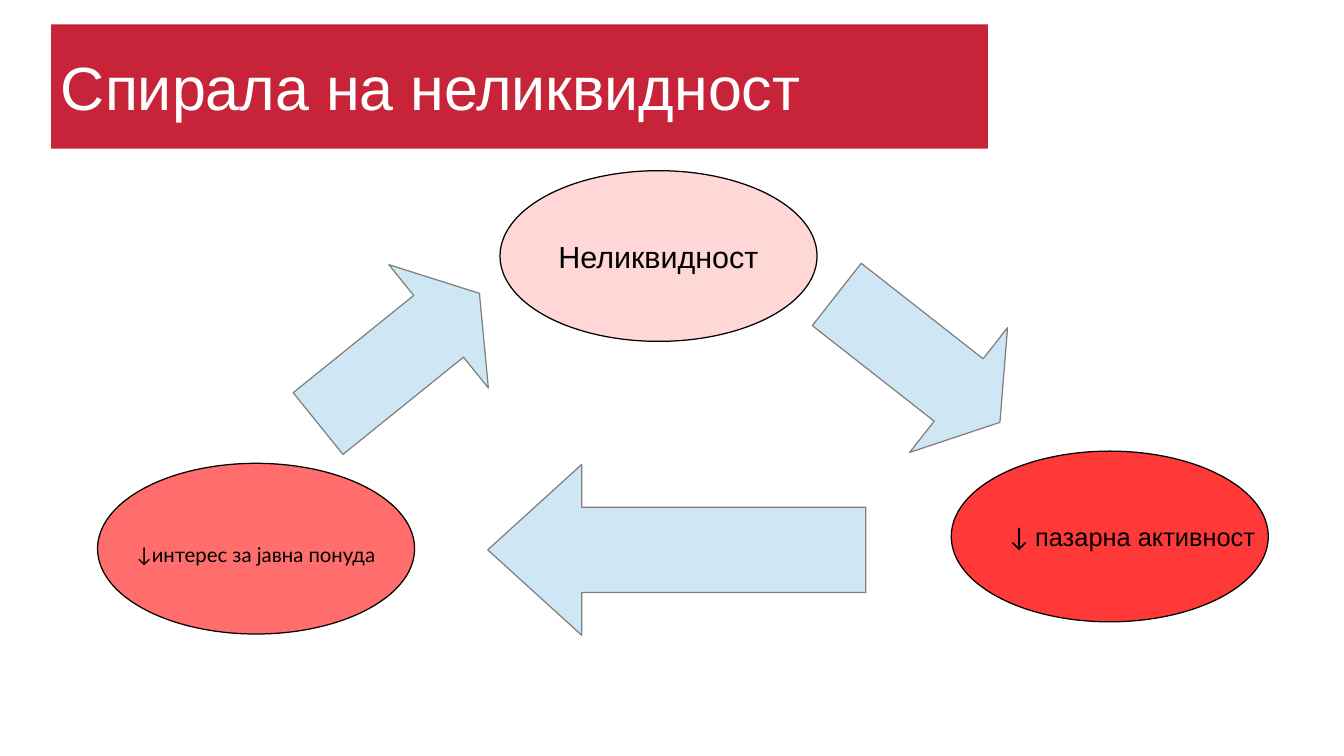
"""Build the illiquidity spiral slide: a title bar, three ovals and three arrows."""
import pptx
import pptx.util
import pptx.dml.color
import pptx.enum.shapes
import pptx.enum.text

Inches, Pt = pptx.util.Inches, pptx.util.Pt
SHAPE = pptx.enum.shapes.MSO_SHAPE
ALIGN = pptx.enum.text.PP_ALIGN

COLORS = {"title": "C7243A", "white": "FFFFFF", "black": "000000", "gray": "808080",
          "pale": "FFD7D7", "mid": "FF6D6D", "strong": "FF3838", "arrow": "CFE7F5"}
TITLE = "Спирала на неликвидност"
OVAL_SIZE = (2.6, 1.4)
OVALS = [
    (4.1, 1.4, "pale", [("Неликвидност", "Arial")], dict(size=18)),
    (7.8, 3.7, "strong", [("↓ ", "Lato"), ("пазарна активност", "Arial")],
     dict(size=15, align=ALIGN.LEFT)),
    (0.8, 3.8, "mid", [("↓интерес за јавна понуда", "Lato")],
     dict(size=12, spacing=1.5, before=1.4, after=2.9)),
]
ARROWS = [
    (SHAPE.RIGHT_ARROW, 6.68, 2.29, 1.7, 1.3, 38.1, 0.43),
    (SHAPE.LEFT_ARROW, 4, 3.81, 3.1, 1.4, 0, 0.77),
    (SHAPE.RIGHT_ARROW, 2.42, 2.29, 1.7, 1.3, 321.1, 0.43),
]


def rgb(name):
    return pptx.dml.color.RGBColor.from_string(COLORS[name])


def add_shape(s, kind, box, fill, line=None):
    sp = s.shapes.add_shape(kind, *[Inches(v) for v in box])
    sp.shadow.inherit = False
    sp.fill.solid()
    sp.fill.fore_color.rgb = rgb(fill)
    if line:
        sp.line.color.rgb = rgb(line)
        sp.line.width = Pt(0.75)
    else:
        sp.line.fill.background()
    return sp


def write(sp, runs, size, color="black", align=ALIGN.CENTER, wrap=False,
          insets=(0.1, 0.05, 0.1, 0.05), spacing=None, before=0, after=0):
    tf = sp.text_frame
    tf.word_wrap = wrap
    tf.vertical_anchor = pptx.enum.text.MSO_ANCHOR.MIDDLE
    tf.margin_left, tf.margin_top, tf.margin_right, tf.margin_bottom = map(Inches, insets)
    p = tf.paragraphs[0]
    p.alignment = align
    p.line_spacing = spacing
    p.space_before, p.space_after = Pt(before), Pt(after)
    for text, font in runs:
        r = p.add_run()
        r.text = text
        r.font.name = font
        r.font.size = Pt(size)
        r.font.color.rgb = rgb(color)


def main():
    prs = pptx.Presentation()
    prs.slide_width, prs.slide_height = Inches(11.02), Inches(6.2)
    s = prs.slides.add_slide(prs.slide_layouts[6])

    bar = add_shape(s, SHAPE.RECTANGLE, (0.42, 0.2, 7.68, 1.02), "title")
    write(bar, [(TITLE, "Arial")], size=36, color="white", align=ALIGN.LEFT,
          wrap=True, insets=(0.08, 0, 0, 0))

    for left, top, fill, runs, style in OVALS:
        oval = add_shape(s, SHAPE.OVAL, (left, top, *OVAL_SIZE), fill, "black")
        write(oval, runs, **style)

    for kind, left, top, width, height, angle, head in ARROWS:
        arrow = add_shape(s, kind, (left, top, width, height), "arrow", "gray")
        arrow.rotation = angle
        arrow.adjustments[0] = 0.5
        arrow.adjustments[1] = head / height

    prs.save("out.pptx")


if __name__ == "__main__":
    main()
